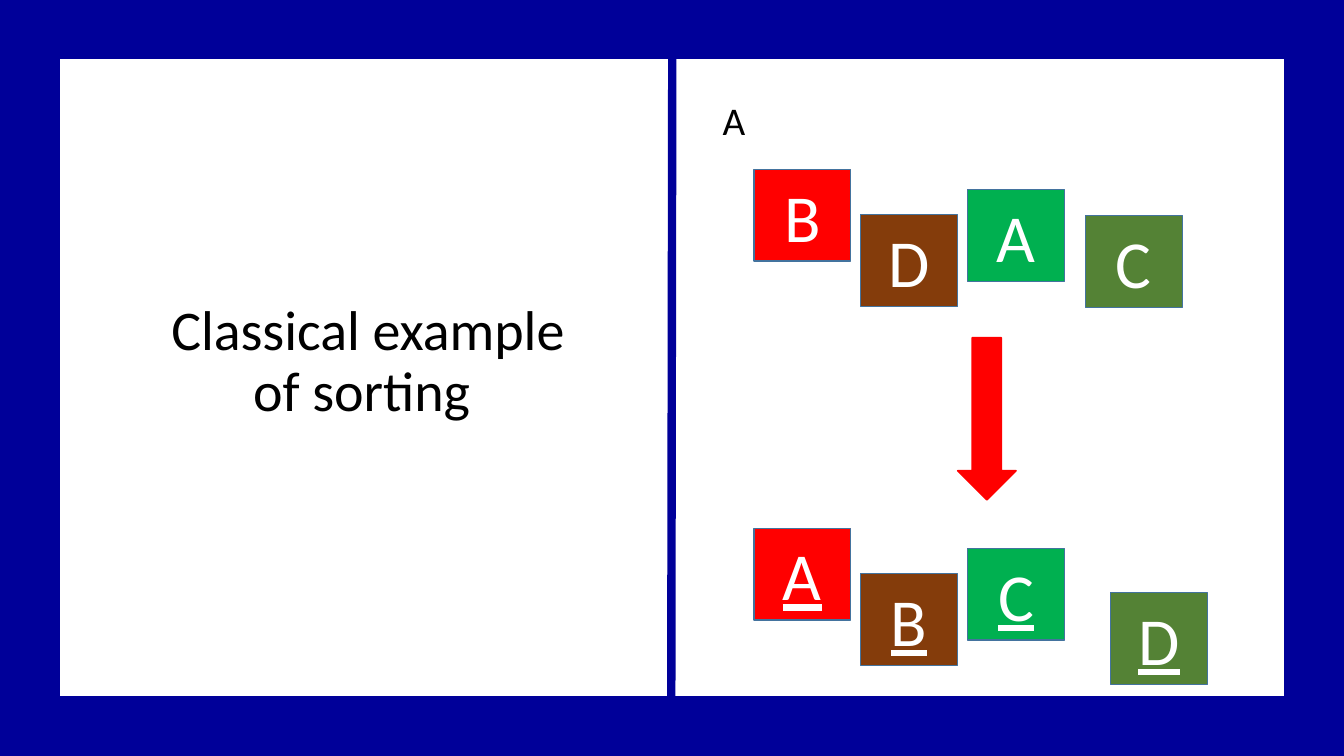
import pptx
import pptx.util
import pptx.dml.color
import pptx.enum.shapes
import pptx.enum.text
import pptx.oxml.ns
import lxml.etree

Pt = pptx.util.Pt
SHAPES = pptx.enum.shapes.MSO_SHAPE
ALIGN = pptx.enum.text.PP_ALIGN
ANCHOR = pptx.enum.text.MSO_ANCHOR

WIDTH, HEIGHT = 960, 540
NAVY, RED, WHITE, BLACK = "000099", "FF0000", "FFFFFF", "000000"
TILE_COLORS = [RED, "843C0B", "00B050", "548235"]
TILE_BORDER = "43739E"
TILE_WIDTH, TILE_HEIGHT = 69.1, 65.5
FIRST_TILE_LEFT, TILE_STEP = 538.6, 76.3
TILE_DROPS = [0, 32.4, 14.4]


def color(hex_string):
    return pptx.dml.color.RGBColor.from_string(hex_string)


def set_line(line, hex_string, width):
    line.color.rgb = color(hex_string)
    line.width = Pt(width)


def format_text(paragraph, size, hex_string, align, underline=None):
    paragraph.alignment = align
    for run in paragraph.runs:
        run.font.name = "Calibri"
        run.font.size = Pt(size)
        run.font.color.rgb = color(hex_string)
        run.font.underline = underline


def add_shape(shapes, kind, box, fill, line, line_width):
    shape = shapes.add_shape(kind, *map(Pt, box))
    shape.shadow.inherit = False
    if fill:
        shape.fill.solid()
        shape.fill.fore_color.rgb = color(fill)
    else:
        shape.fill.background()
    set_line(shape.line, line, line_width)
    return shape


def add_divider(slide, start, end):
    divider = slide.shapes.add_connector(
        pptx.enum.shapes.MSO_CONNECTOR.STRAIGHT, *map(Pt, start + end))
    set_line(divider.line, NAVY, 6)
    lxml.etree.SubElement(divider.element.spPr, pptx.oxml.ns.qn("a:effectLst"))


def fill_placeholder(placeholder, text, box, size, align):
    placeholder.left, placeholder.top, placeholder.width, placeholder.height = map(Pt, box)
    frame = placeholder.text_frame
    frame.text = text
    frame.word_wrap = True
    frame.auto_size = pptx.enum.text.MSO_AUTO_SIZE.NONE
    frame.vertical_anchor = ANCHOR.TOP
    paragraph = frame.paragraphs[0]
    paragraph.line_spacing = 0.9
    paragraph.space_before = Pt(0)
    format_text(paragraph, size, BLACK, align)


def remove_bullet(paragraph):
    properties = paragraph._p.get_or_add_pPr()
    properties.set("marL", "0")
    properties.set("indent", "0")
    lxml.etree.SubElement(properties, pptx.oxml.ns.qn("a:buNone"))


def add_tile_row(slide, letters, top, last_tile, underline=None):
    """Three evenly stepped tiles and a last one placed on its own."""
    places = [(FIRST_TILE_LEFT + index * TILE_STEP, top + drop)
              for index, drop in enumerate(TILE_DROPS)] + [last_tile]
    group = slide.shapes.add_group_shape()
    for letter, fill, place in zip(letters, TILE_COLORS, places):
        tile = add_shape(group.shapes, SHAPES.RECTANGLE,
                         (*place, TILE_WIDTH, TILE_HEIGHT), fill, TILE_BORDER, 1)
        tile.text_frame.text = letter
        tile.text_frame.vertical_anchor = ANCHOR.MIDDLE
        format_text(tile.text_frame.paragraphs[0], 48, WHITE, ALIGN.CENTER, underline)


def main():
    presentation = pptx.Presentation()
    presentation.slide_width, presentation.slide_height = Pt(WIDTH), Pt(HEIGHT)
    slide = presentation.slides.add_slide(presentation.slide_layouts[1])

    # Frame and divider
    add_shape(slide.shapes, SHAPES.RECTANGLE, (0, 0, WIDTH, HEIGHT), None, NAVY, 85)
    add_divider(slide, (480.2, 40.3), (479.5, 499))

    # Title and body
    fill_placeholder(slide.shapes.title, "Classical example of sorting ",
                     (97.2, 212.4, 331.2, 145.4), 40, ALIGN.CENTER)
    body = slide.placeholders[1]
    fill_placeholder(body, "A", (509, 69.1, 283.7, 51.8), 28, ALIGN.LEFT)
    remove_bullet(body.text_frame.paragraphs[0])

    # Unsorted tiles, arrow, sorted tiles
    add_tile_row(slide, "BDAC", 121, (775.4, 154.1))
    add_shape(slide.shapes, SHAPES.DOWN_ARROW, (684, 241.2, 41.8, 115.9), RED, RED, 1)
    add_tile_row(slide, "ABCD", 377.3, (793.4, 423.4), underline=True)

    presentation.save("out.pptx")


if __name__ == "__main__":
    main()
